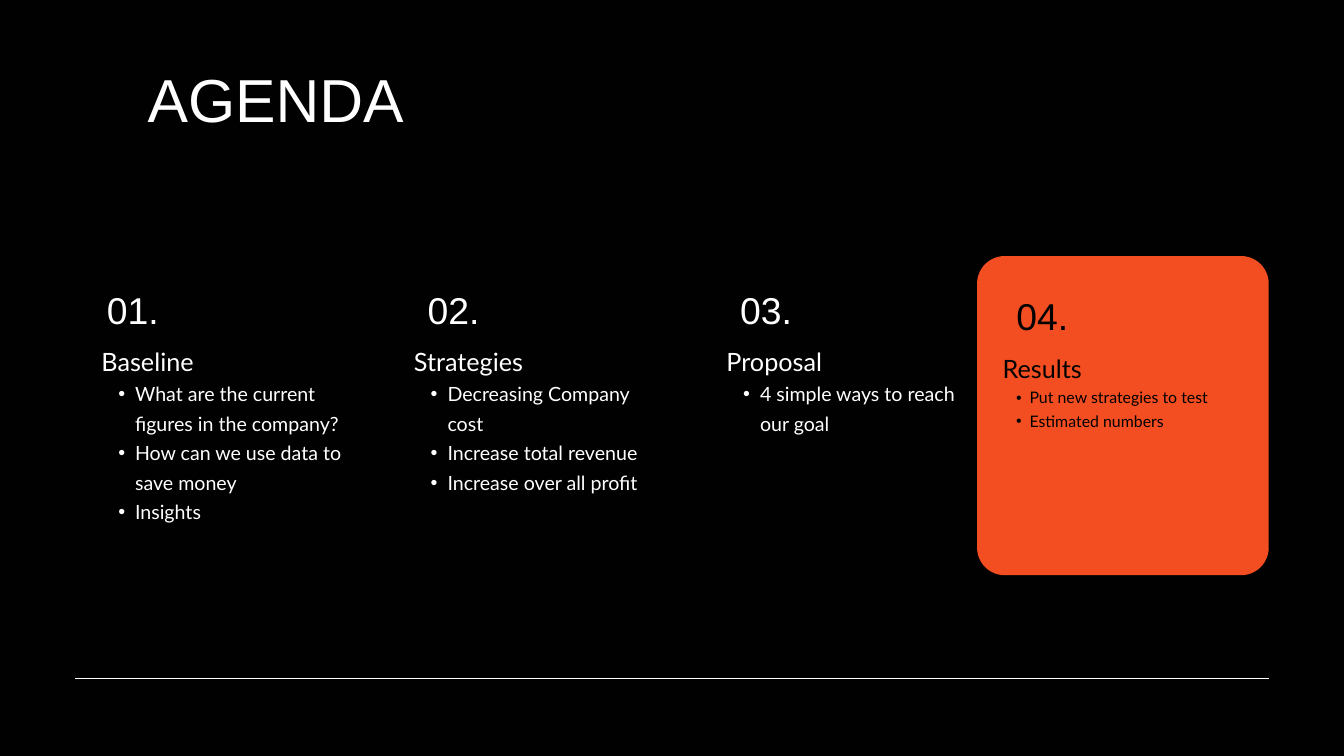
from dataclasses import dataclass
from typing import Any

from lxml.etree import SubElement
from pptx import Presentation
from pptx.dml.color import RGBColor
from pptx.enum.shapes import MSO_CONNECTOR, MSO_SHAPE
from pptx.enum.text import MSO_ANCHOR, MSO_AUTO_SIZE, PP_ALIGN
from pptx.oxml.ns import qn
from pptx.util import Pt

SCALE = 9144


@dataclass(frozen=True)
class Theme:
    black: RGBColor = RGBColor(1, 1, 1)
    white: RGBColor = RGBColor(255, 255, 255)
    orange: RGBColor = RGBColor(243, 78, 33)
    head: str = "Arial"
    body: str = "Lato"
    title: int = 65
    number: int = 40
    topic: int = 27
    item: int = 21
    small: int = 17


@dataclass(frozen=True)
class Box:
    left: int
    top: int
    width: int
    height: int


@dataclass(frozen=True)
class Part:
    number: str
    topic: str
    items: tuple[str, ...]
    tag: Box
    area: Box
    color: RGBColor
    size: int
    indent: int


THEME = Theme()
STEP = 465
PARTS = (
    Part("01.", "Baseline",
         ("What are the current figures in the company?",
          "How can we use data to save money", "Insights"),
         Box(150, 410, 95, 82), Box(151, 504, 368, 318),
         THEME.white, THEME.item, 25),
    Part("02.", "Strategies",
         ("Decreasing Company cost", "Increase total revenue",
          "Increase over all profit"),
         Box(151 + STEP, 410, 118, 82), Box(151 + STEP, 504, 368, 317),
         THEME.white, THEME.item, 25),
    Part("03.", "Proposal", ("4 simple ways to reach our goal",),
         Box(151 + 2 * STEP, 410, 118, 82), Box(151 + 2 * STEP, 504, 368, 143),
         THEME.white, THEME.item, 25),
    Part("04.", "Results", ("Put new strategies to test", "Estimated numbers"),
         Box(1492, 420, 118, 82), Box(1492, 514, 368, 163),
         THEME.black, THEME.small, 20),
)
FRAME = {
    "word_wrap": True, "auto_size": MSO_AUTO_SIZE.NONE,
    "vertical_anchor": MSO_ANCHOR.TOP, "margin_left": 0,
    "margin_top": 0, "margin_right": 0, "margin_bottom": 0,
}


def px(*sizes: int) -> list[int]:
    return [size * SCALE for size in sizes]


def spread(box: Box) -> list[int]:
    return px(box.left, box.top, box.width, box.height)


def apply(target: Any, values: dict[str, Any]) -> None:
    for name, value in values.items():
        setattr(target, name, value)


def place(shape: Any, box: Box) -> None:
    apply(shape, dict(zip(("left", "top", "width", "height"), spread(box))))
    apply(shape.text_frame, FRAME)


def write(para: Any, text: str, font: str, size: int, color: RGBColor,
          align: PP_ALIGN, level: int = 0) -> None:
    run = para.add_run()
    run.text = text
    apply(run.font, {"name": font, "size": Pt(size), "bold": False})
    run.font.color.rgb = color
    apply(para, {"alignment": align, "level": level,
                 "line_spacing": Pt(size * 1.5),
                 "space_before": Pt(0), "space_after": Pt(0)})


def mark(para: Any, indent: int, bullet: str = "") -> None:
    props = para._p.get_or_add_pPr()
    props.set("marL", str(2 * indent * SCALE))
    props.set("indent", str(-indent * SCALE))
    if bullet:
        SubElement(props, qn("a:buFont"), typeface="Arial")
        SubElement(props, qn("a:buChar"), char=bullet)
    else:
        SubElement(props, qn("a:buNone"))


def draw_part(slide: Any, holder: Any, part: Part) -> None:
    tag = slide.shapes.add_textbox(*spread(part.tag))
    apply(tag.text_frame, FRAME)
    write(tag.text_frame.paragraphs[0], part.number, THEME.head,
          THEME.number, part.color, PP_ALIGN.CENTER)
    place(holder, part.area)
    frame = holder.text_frame
    write(frame.paragraphs[0], part.topic, THEME.body, THEME.topic,
          part.color, PP_ALIGN.LEFT)
    mark(frame.paragraphs[0], 0)
    for item in part.items:
        para = frame.add_paragraph()
        write(para, item, THEME.body, part.size, part.color, PP_ALIGN.LEFT, 1)
        mark(para, part.indent, "•")


def draw_card(slide: Any, box: Box, curve: int) -> None:
    card = slide.shapes.add_shape(MSO_SHAPE.ROUNDED_RECTANGLE, *spread(box))
    card.adjustments[0] = curve / min(box.width, box.height)
    card.fill.solid()
    card.fill.fore_color.rgb = THEME.orange
    card.line.fill.background()
    card.shadow.inherit = False
    slide.shapes._spTree.insert(2, card._element)


def draw_rule(slide: Any, left: int, right: int, top: int) -> None:
    rule = slide.shapes.add_connector(
        MSO_CONNECTOR.STRAIGHT, *px(left, top, right, top))
    rule.line.color.rgb = THEME.white
    rule.line.width = Pt(1.5)
    SubElement(rule._element.spPr, qn("a:effectLst"))


def main() -> None:
    deck = Presentation()
    deck.slide_width, deck.slide_height = px(2000, 1125)
    slide = deck.slides.add_slide(deck.slide_layouts[4])
    slide.background.fill.solid()
    slide.background.fill.fore_color.rgb = THEME.black
    title, *lists = slide.placeholders
    place(title, Box(100, 65, 621, 130))
    write(title.text_frame.paragraphs[0], "AGENDA", THEME.head,
          THEME.title, THEME.white, PP_ALIGN.CENTER)
    draw_card(slide, Box(1454, 381, 434, 475), 41)
    for holder, part in zip(lists, PARTS):
        draw_part(slide, holder, part)
    draw_rule(slide, 112, 1888, 1010)
    deck.save("out.pptx")


if __name__ == "__main__":
    main()
